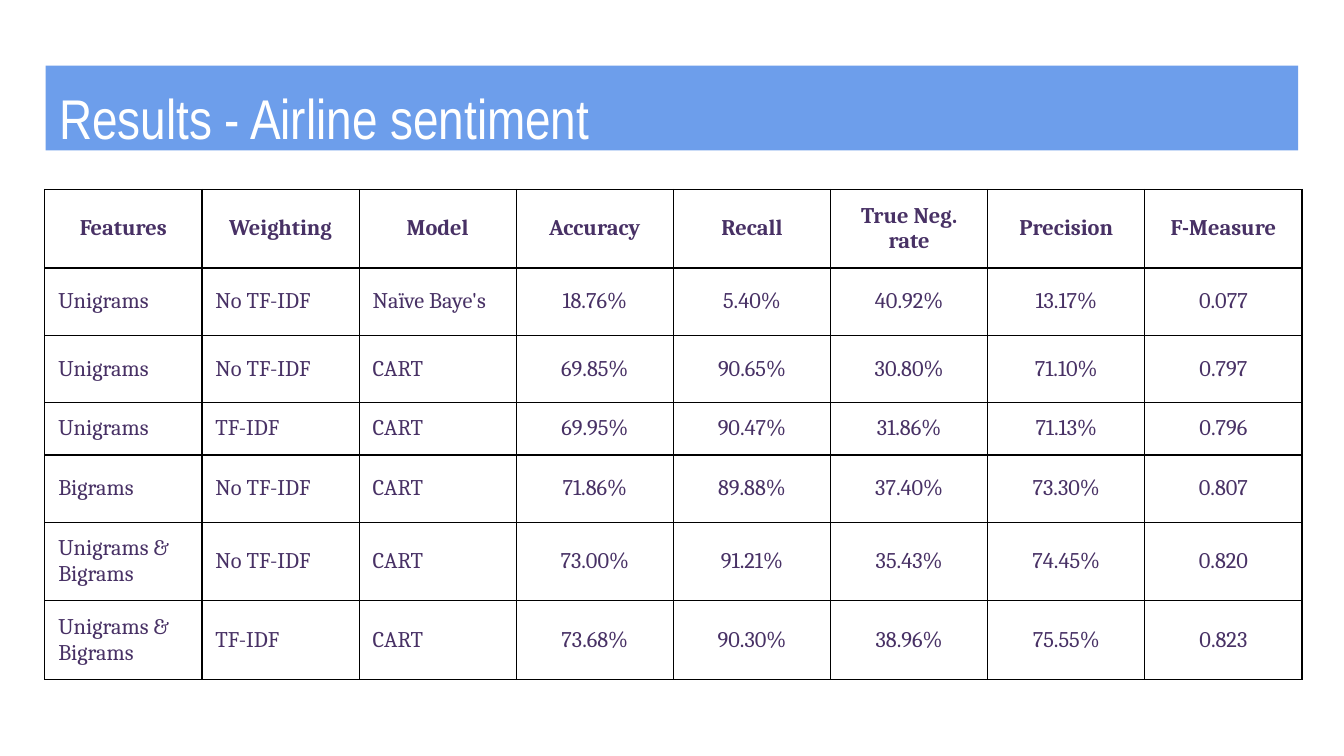
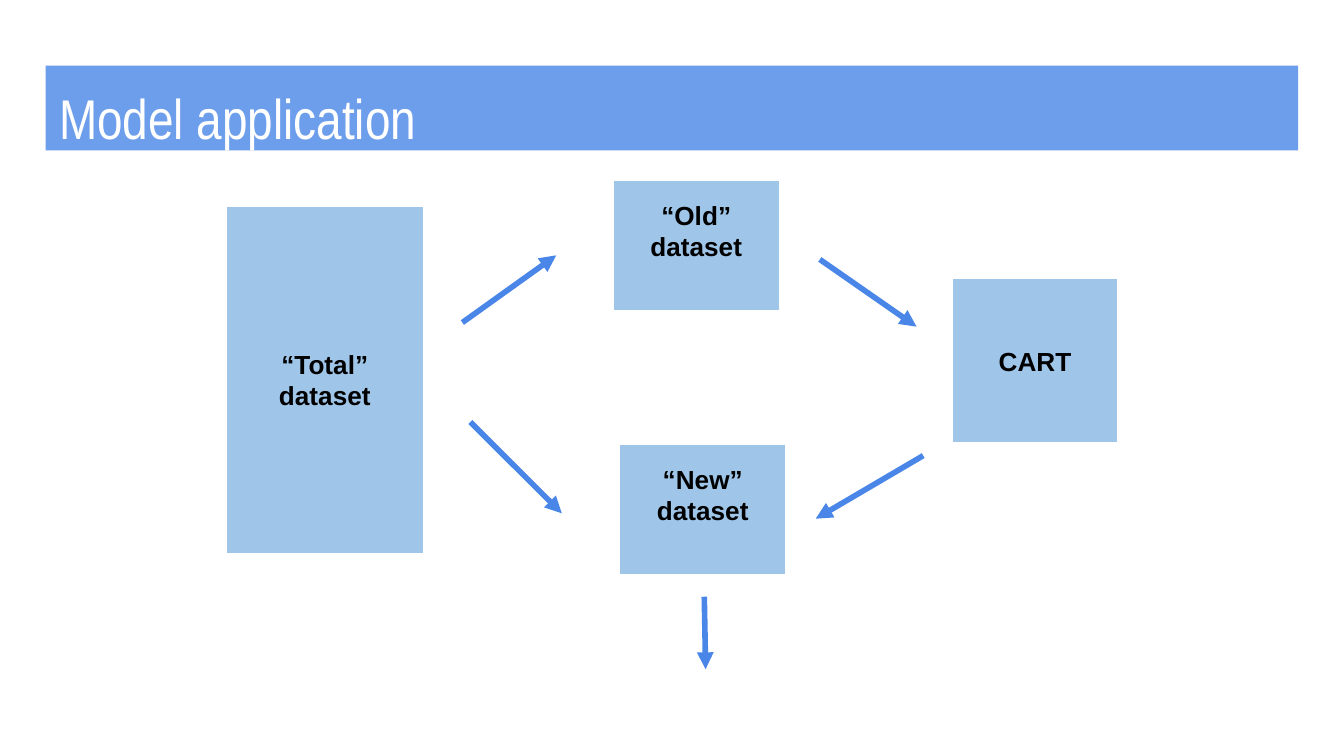
from collections import namedtuple

from lxml.etree import SubElement
from pptx import Presentation
from pptx.dml.color import RGBColor
from pptx.enum.shapes import MSO_CONNECTOR, MSO_SHAPE
from pptx.enum.text import MSO_ANCHOR as ANCHOR, MSO_AUTO_SIZE, PP_ALIGN as ALIGN
from pptx.oxml.ns import qn
from pptx.util import Pt

Box = namedtuple("Box", "left top width height")

BAND_BLUE = "6D9EEB"
BLOCK_BLUE = "9FC5E8"
ARROW_BLUE = "4A86E8"
PURPLE = "483165"
WHITE = "FFFFFF"
BLACK = "000000"

INSET = 7.2
TITLE_BAND = Box(24.5, 35.2, 671, 45.4)
RESULTS_AREA = Box(24, 101.5, 673.6, 262)
DIAGRAM_AREA = Box(121, 96.5, 478, 262)

HEADINGS = ["Features", "Weighting", "Model", "Accuracy", "Recall",
            "True Neg. rate", "Precision", "F-Measure"]
RESULTS = [
    ["Unigrams", "No TF-IDF", "Naïve Baye's", "18.76%", "5.40%", "40.92%", "13.17%", "0.077"],
    ["Unigrams", "No TF-IDF", "CART", "69.85%", "90.65%", "30.80%", "71.10%", "0.797"],
    ["Unigrams", "TF-IDF", "CART", "69.95%", "90.47%", "31.86%", "71.13%", "0.796"],
    ["Bigrams", "No TF-IDF", "CART", "71.86%", "89.88%", "37.40%", "73.30%", "0.807"],
    ["Unigrams & Bigrams", "No TF-IDF", "CART", "73.00%", "91.21%", "35.43%", "74.45%", "0.820"],
    ["Unigrams & Bigrams", "TF-IDF", "CART", "73.68%", "90.30%", "38.96%", "75.55%", "0.823"],
]
ROW_HEIGHTS = [42, 36, 36, 28, 36, 42, 42]
LABEL_COLUMNS = 3

# Blocks and arrows are measured from the corner of the diagram area.
# Each block: label, box, bottom inset (larger where the label sits high).
BLOCKS = [
    ("“Total” dataset", Box(0, 14, 106, 186), INSET),
    ("“Old” dataset", Box(207.5, 0, 89, 70), 23),
    ("“New” dataset", Box(211, 141.5, 89, 70), 23),
    ("CART", Box(389, 52.5, 89, 88.5), INSET),
]
ARROWS = [
    ((126.7, 76.3), (177, 40.3)),
    ((131, 129.6), (180, 178.5)),
    ((318.2, 42.5), (370, 78.5)),
    ((373.6, 147.6), (316, 181.4)),
    ((256.3, 223.2), (257, 262)),
]


def rgb(hex_color):
    return RGBColor.from_string(hex_color)


def points(*lengths):
    return [Pt(length) for length in lengths]


def write(frame, text, *, font, size, color, bold=False, align=ALIGN.LEFT):
    frame.word_wrap = True
    paragraph = frame.paragraphs[0]
    paragraph.alignment = align
    run = paragraph.add_run()
    run.text = text
    run.font.name = font
    run.font.size = Pt(size)
    run.font.bold = bold
    run.font.color.rgb = rgb(color)


def set_insets(holder, top=INSET, bottom=INSET):
    """Set the margins of a text frame or a table cell."""
    holder.margin_left = holder.margin_right = Pt(INSET)
    holder.margin_top, holder.margin_bottom = points(top, bottom)


def add_titled_slide(deck, text, box=TITLE_BAND):
    slide = deck.slides.add_slide(deck.slide_layouts[5])
    title = slide.shapes.title
    title.left, title.top, title.width, title.height = points(*box)
    title.fill.solid()
    title.fill.fore_color.rgb = rgb(BAND_BLUE)
    frame = title.text_frame
    frame.auto_size = MSO_AUTO_SIZE.NONE
    frame.vertical_anchor = ANCHOR.TOP
    set_insets(frame, top=9.4, bottom=0)
    write(frame, text, font="Arial Narrow", size=30, color=WHITE)
    return slide


def add_borders(cell):
    properties = cell._tc.get_or_add_tcPr()
    for position, side in enumerate(("a:lnL", "a:lnR", "a:lnT", "a:lnB")):
        border = properties.makeelement(qn(side), {"w": str(Pt(0.75))})
        properties.insert(position, border)
        fill = SubElement(border, qn("a:solidFill"))
        SubElement(fill, qn("a:srgbClr"), val=BLACK)


def add_results_table(slide, box):
    rows = [HEADINGS] + RESULTS
    table = slide.shapes.add_table(len(rows), len(HEADINGS), *points(*box)).table
    table.first_row = table.horz_banding = False
    for column in table.columns:
        column.width = Pt(box.width / len(HEADINGS))
    for r, (values, height) in enumerate(zip(rows, ROW_HEIGHTS)):
        table.rows[r].height = Pt(height)
        for c, value in enumerate(values):
            cell = table.cell(r, c)
            is_heading = r == 0
            is_label = c < LABEL_COLUMNS and not is_heading
            cell.fill.background()
            cell.vertical_anchor = ANCHOR.MIDDLE
            set_insets(cell)
            add_borders(cell)
            write(cell.text_frame, value, font="Cambria", size=12, color=PURPLE,
                  bold=is_heading, align=ALIGN.LEFT if is_label else ALIGN.CENTER)


def add_block(slide, label, box, bottom_inset):
    block = slide.shapes.add_shape(MSO_SHAPE.RECTANGLE, *points(*box))
    block.shadow.inherit = False
    block.fill.solid()
    block.fill.fore_color.rgb = rgb(BLOCK_BLUE)
    block.line.color.rgb = rgb(WHITE)
    block.line.width = Pt(0.75)
    frame = block.text_frame
    frame.vertical_anchor = ANCHOR.MIDDLE
    set_insets(frame, bottom=bottom_inset)
    write(frame, label, font="Arial", size=14, color=BLACK, bold=True, align=ALIGN.CENTER)


def add_arrow(slide, start, end):
    arrow = slide.shapes.add_connector(MSO_CONNECTOR.STRAIGHT, *points(*start, *end))
    arrow.line.color.rgb = rgb(ARROW_BLUE)
    arrow.line.width = Pt(3)
    SubElement(arrow.line._get_or_add_ln(), qn("a:tailEnd"), type="triangle")
    SubElement(arrow._element.spPr, qn("a:effectLst"))


def add_diagram(slide, box):
    def shift(x, y):
        return box.left + x, box.top + y

    for label, place, bottom_inset in BLOCKS:
        left, top = shift(place.left, place.top)
        add_block(slide, label, place._replace(left=left, top=top), bottom_inset)
    for start, end in ARROWS:
        add_arrow(slide, shift(*start), shift(*end))


def main():
    deck = Presentation()
    deck.slide_width, deck.slide_height = points(720, 405)
    add_results_table(add_titled_slide(deck, "Results - Airline sentiment"), RESULTS_AREA)
    add_diagram(add_titled_slide(deck, "Model application"), DIAGRAM_AREA)
    deck.save("out.pptx")


if __name__ == "__main__":
    main()
